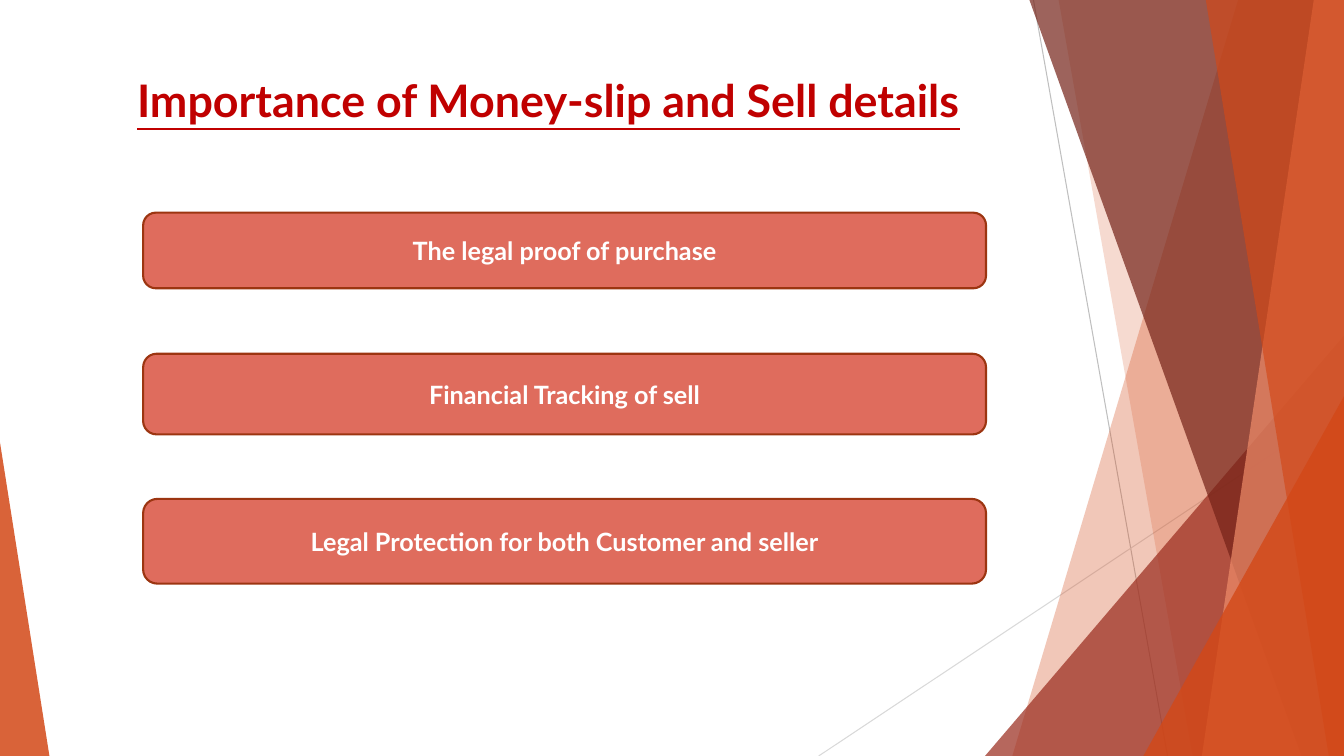
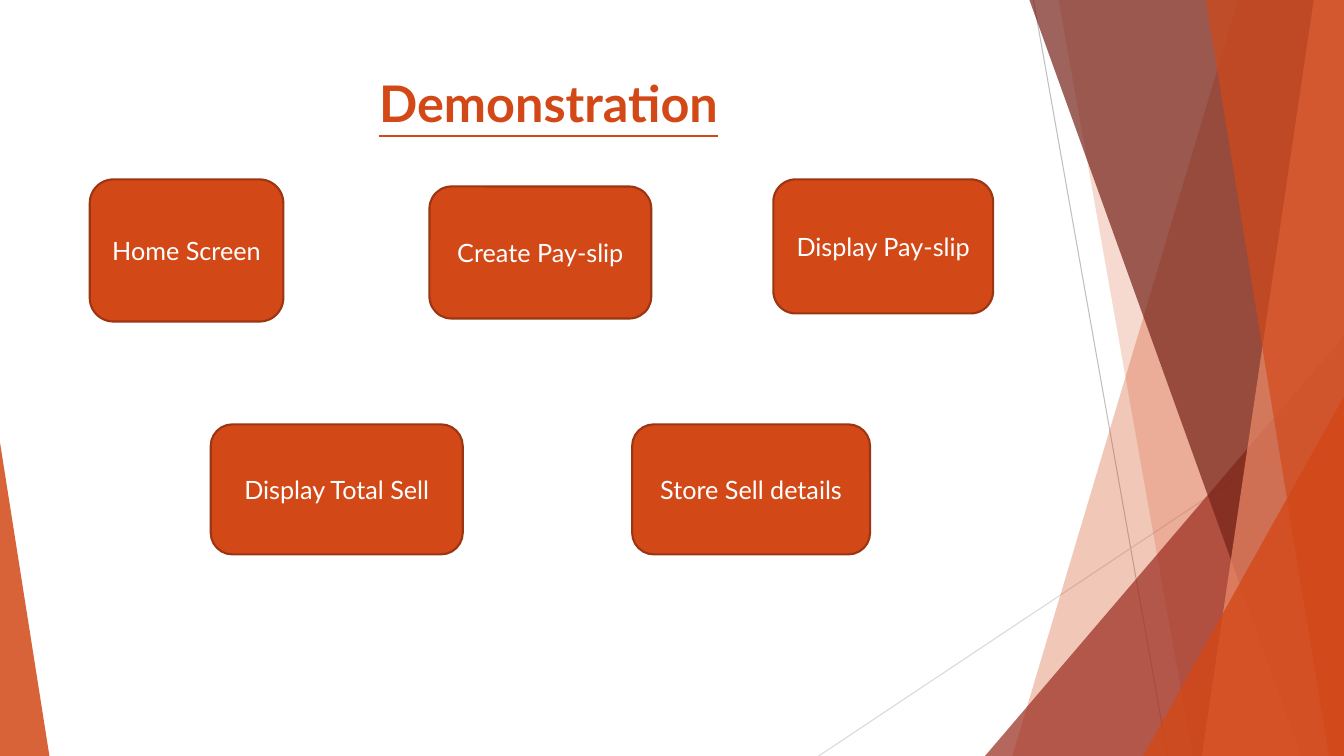
from lxml import etree
from pptx import Presentation
from pptx.dml.color import RGBColor
from pptx.enum.shapes import MSO_CONNECTOR, MSO_SHAPE
from pptx.enum.text import MSO_ANCHOR, MSO_AUTO_SIZE, PP_ALIGN
from pptx.oxml import parse_xml
from pptx.oxml.ns import nsdecls, qn
from pptx.util import Inches, Pt

WIDTH, HEIGHT = 13.33, 7.5
FONT = "Lato"
ORANGE = RGBColor(0xD3, 0x48, 0x17)
PEACH = RGBColor(0xEF, 0x8C, 0x6A)
BRICK = RGBColor(0x9B, 0x2D, 0x1F)
MAROON = RGBColor(0x74, 0x22, 0x17)
RED = RGBColor(0xC0, 0x00, 0x00)
CORAL = RGBColor(0xDF, 0x6C, 0x5D)
RUST = RGBColor(0x9C, 0x35, 0x11)
WHITE = RGBColor(0xFF, 0xFF, 0xFF)
GREY = RGBColor(0xBF, 0xBF, 0xBF)
LIGHT_GREY = RGBColor(0xD9, 0xD9, 0xD9)

ROUNDED = MSO_SHAPE.ROUNDED_RECTANGLE
TRIANGLE = MSO_SHAPE.ISOSCELES_TRIANGLE
STRAIGHT = MSO_CONNECTOR.STRAIGHT
TOP, MIDDLE = MSO_ANCHOR.TOP, MSO_ANCHOR.MIDDLE
CENTER = PP_ALIGN.CENTER
NO_AUTOFIT = MSO_AUTO_SIZE.NONE

TEXT_SHADOW = (
    f'<a:effectLst {nsdecls("a")}>'
    '<a:outerShdw blurRad="50800" dist="38100" dir="2700000" algn="tl">'
    '<a:srgbClr val="000000"><a:alpha val="40000"/></a:srgbClr>'
    '</a:outerShdw></a:effectLst>'
)


# Shared background
def tint(sp, color, opacity):
    """Fill a borderless shape with a colour at an opacity in percent."""
    sp.shadow.inherit = False
    sp.fill.solid()
    sp.fill.fore_color.rgb = color
    sp.line.fill.background()
    clr = sp.element.spPr.find(qn("a:solidFill"))[0]
    etree.SubElement(clr, qn("a:alpha")).set("val", str(opacity * 1000))


def add_hairline(shapes, start, end, color):
    line = shapes.add_connector(STRAIGHT, *map(Inches, start + end))
    line.line.color.rgb = color
    line.line.width = Pt(0.75)
    etree.SubElement(line.element.spPr, qn("a:effectLst"))


def add_facet(shapes, top_x, bottom_x, color, opacity):
    """Full-height band from a slanted left edge to the slide's right edge."""
    builder = shapes.build_freeform(Inches(top_x), 0, scale=1.0)
    corners = [(WIDTH, 0), (WIDTH, HEIGHT), (bottom_x, HEIGHT)]
    builder.add_line_segments([(Inches(x), Inches(y)) for x, y in corners])
    tint(builder.convert_to_shape(), color, opacity)


def add_corner(shapes, left, width, height, apex, color, opacity):
    """Triangle standing on the slide's bottom edge."""
    sp = shapes.add_shape(TRIANGLE, Inches(left), Inches(HEIGHT - height),
                          Inches(width), Inches(height))
    sp.adjustments[0] = apex
    tint(sp, color, opacity)


def add_background(s):
    """Draw the facets as one group and put it on the slide's layout."""
    group = s.shapes.add_group_shape()
    shapes = group.shapes
    add_hairline(shapes, (10.25, 0), (11.58, HEIGHT), GREY)
    add_hairline(shapes, (WIDTH, 4.03), (8.12, HEIGHT), LIGHT_GREY)
    add_facet(shapes, 12.28, 10.04, ORANGE, 30)
    add_facet(shapes, 10.5, 11.83, ORANGE, 20)
    add_corner(shapes, 9.77, 3.56, 4.17, 1, BRICK, 72)
    add_facet(shapes, 10.21, 12.91, MAROON, 70)
    add_facet(shapes, 13.03, 11.92, PEACH, 70)
    add_facet(shapes, 11.96, 13.18, ORANGE, 65)
    add_corner(shapes, 11.34, 1.99, 3.57, 1, ORANGE, 80)
    add_corner(shapes, 0, 0.49, 3.11, 0, ORANGE, 85)
    # Keep ids unique among the layout's own shapes
    for number, props in enumerate(group.element.iter(qn("p:cNvPr")), 100):
        props.set("id", str(number))
    s.slide_layout.shapes.element.insert(2, group.element)


# Shared parts of the slides
def set_title(s, text, height, size, color):
    title = s.shapes.title
    title.left, title.top = Inches(0.74), Inches(0.67)
    title.width, title.height = Inches(9.4), Inches(height)
    tf = title.text_frame
    tf.auto_size = NO_AUTOFIT
    tf.vertical_anchor = TOP
    p = tf.paragraphs[0]
    p.alignment = CENTER
    r = p.add_run()
    r.text = text
    r.font.name, r.font.size = FONT, Pt(size)
    r.font.bold = r.font.underline = True
    r.font.color.rgb = color
    fill = title.element.find(".//" + qn("a:rPr")).find(qn("a:solidFill"))
    fill.addnext(parse_xml(TEXT_SHADOW))


def add_box(s, box, text, color, bold=False):
    sp = s.shapes.add_shape(ROUNDED, *map(Inches, box))
    sp.shadow.inherit = False
    sp.fill.solid()
    sp.fill.fore_color.rgb = color
    sp.line.color.rgb = RUST
    sp.line.width = Pt(1.5)
    tf = sp.text_frame
    tf.word_wrap = True
    tf.vertical_anchor = MIDDLE
    p = tf.paragraphs[0]
    p.text = text
    p.alignment = CENTER
    p.font.name, p.font.size, p.font.bold = FONT, Pt(18), bold
    p.font.color.rgb = WHITE


# Slides
def build_importance(s):
    set_title(s, "Importance of Money-slip and Sell details", 1.44, 32, RED)
    bars = [
        (2.11, 0.75, "The legal proof of purchase"),
        (3.51, 0.8, "Financial Tracking of sell"),
        (4.95, 0.84, "Legal Protection for both Customer and seller"),
    ]
    for top, height, text in bars:
        add_box(s, (1.42, top, 8.36, height), text, CORAL, bold=True)


def build_demonstration(s):
    set_title(s, "Demonstration", 0.89, 36, ORANGE)
    screens = [
        ((0.89, 1.78, 1.92, 1.41), "Home Screen"),
        ((4.26, 1.85, 2.2, 1.31), "Create Pay-slip"),
        ((7.67, 1.78, 2.18, 1.33), "Display Pay-slip"),
        ((2.09, 4.21, 2.5, 1.29), "Display Total Sell"),
        ((6.27, 4.21, 2.36, 1.29), "Store Sell details"),
    ]
    for box, text in screens:
        add_box(s, box, text, ORANGE)


def main():
    prs = Presentation()
    prs.slide_width, prs.slide_height = Inches(WIDTH), Inches(HEIGHT)
    title_only = prs.slide_layouts[5]
    importance = prs.slides.add_slide(title_only)
    add_background(importance)
    build_importance(importance)
    build_demonstration(prs.slides.add_slide(title_only))
    prs.save("out.pptx")


if __name__ == "__main__":
    main()
